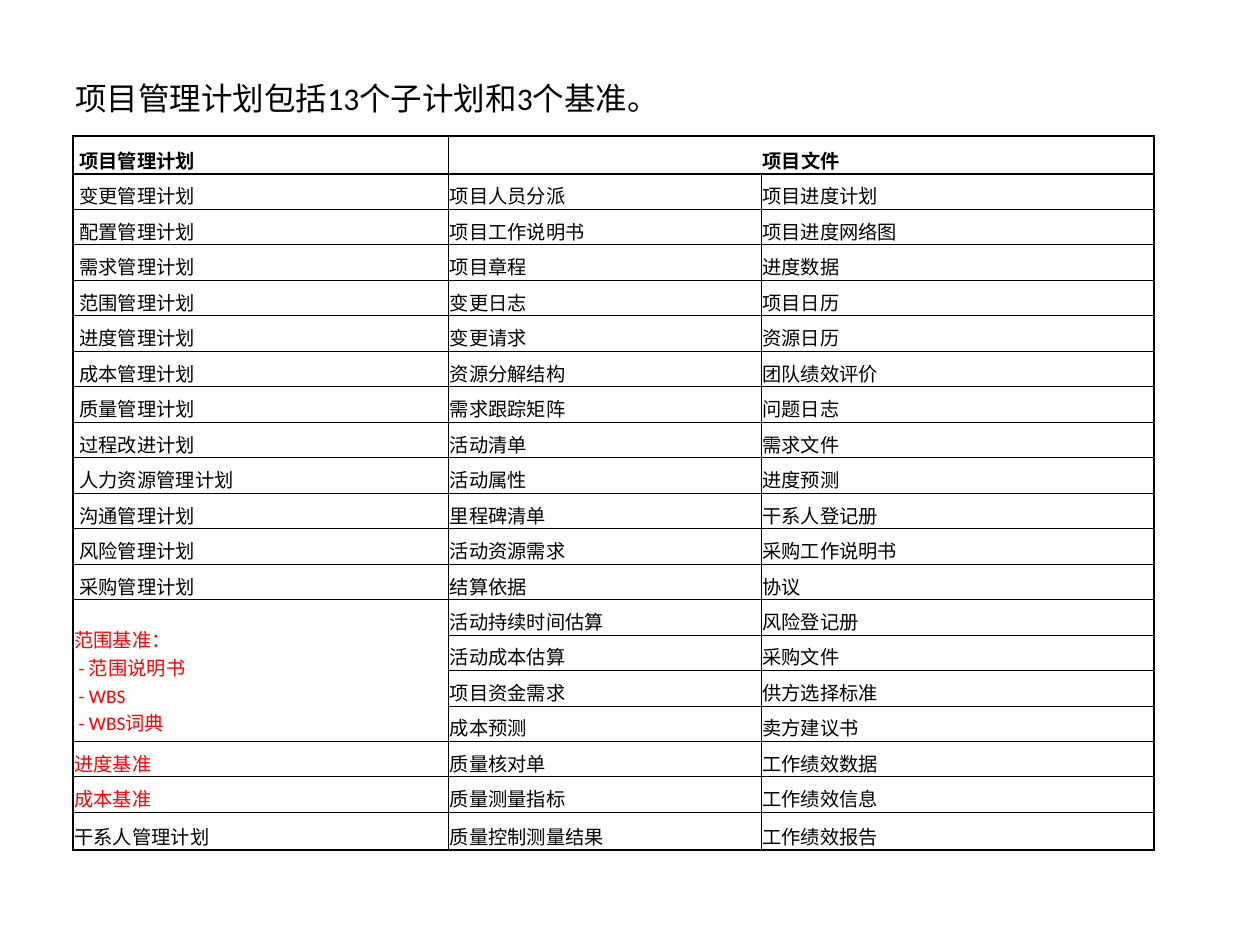
"""Build a slide listing project management plans beside project documents."""
import dataclasses

import lxml.etree
import pptx
import pptx.dml.color
import pptx.enum.text
import pptx.oxml.ns
import pptx.util

Inches = pptx.util.Inches
Pt = pptx.util.Pt
RGB = pptx.dml.color.RGBColor
Anchor = pptx.enum.text.MSO_ANCHOR
Align = pptx.enum.text.PP_ALIGN

HEADER = ("项目管理计划", "项目文件", "")
SCOPE_BASELINE = "范围基准：\v - 范围说明书\v - WBS\v - WBS词典"
BASELINES = (SCOPE_BASELINE, "进度基准", "成本基准")
STAKEHOLDER_PLAN = "干系人管理计划"
SCOPE_ROW, SCOPE_SPAN = 13, 4
ROWS = [
    ("变更管理计划", "项目人员分派", "项目进度计划"),
    ("配置管理计划", "项目工作说明书", "项目进度网络图"),
    ("需求管理计划", "项目章程", "进度数据"),
    ("范围管理计划", "变更日志", "项目日历"),
    ("进度管理计划", "变更请求", "资源日历"),
    ("成本管理计划", "资源分解结构", "团队绩效评价"),
    ("质量管理计划", "需求跟踪矩阵", "问题日志"),
    ("过程改进计划", "活动清单", "需求文件"),
    ("人力资源管理计划", "活动属性", "进度预测"),
    ("沟通管理计划", "里程碑清单", "干系人登记册"),
    ("风险管理计划", "活动资源需求", "采购工作说明书"),
    ("采购管理计划", "结算依据", "协议"),
    (SCOPE_BASELINE, "活动持续时间估算", "风险登记册"),
    ("", "活动成本估算", "采购文件"),
    ("", "项目资金需求", "供方选择标准"),
    ("", "成本预测", "卖方建议书"),
    ("进度基准", "质量核对单", "工作绩效数据"),
    ("成本基准", "质量测量指标", "工作绩效信息"),
    (STAKEHOLDER_PLAN, "质量控制测量结果", "工作绩效报告"),
]


@dataclasses.dataclass(frozen=True)
class Theme:
    """Colours, type sizes and line widths."""
    font: str = "Calibri"
    ink: str = "000000"
    accent: str = "FF0000"
    title_size: int = 18
    cell_size: int = 11
    outer_line: float = 1
    inner_line: float = 0.5


class SlideBuilder:
    """Adds styled elements to one slide."""

    def __init__(self, slide, theme):
        self.slide = slide
        self.theme = theme

    def style(self, paragraph, size, color, bold=False):
        font = paragraph.font
        font.name, font.size, font.bold = self.theme.font, Pt(size), bold
        font.color.rgb = RGB.from_string(color)

    def title(self, wording, left, top, width, height):
        frame = self.slide.shapes.add_textbox(
            Inches(left), Inches(top), Inches(width), Inches(height)).text_frame
        frame.word_wrap = True
        frame.auto_size = pptx.enum.text.MSO_AUTO_SIZE.SHAPE_TO_FIT_TEXT
        frame.text = wording
        self.style(frame.paragraphs[0], self.theme.title_size, self.theme.ink)

    def border(self, cell, side, points):
        qn = pptx.oxml.ns.qn
        properties = cell._tc.get_or_add_tcPr()
        line = lxml.etree.SubElement(properties, qn(f"a:ln{side}"), w=str(Pt(points)))
        fill = lxml.etree.SubElement(line, qn("a:solidFill"))
        lxml.etree.SubElement(fill, qn("a:srgbClr"), val=self.theme.ink)

    def cell(self, cell, wording, is_header, is_plan):
        cell.margin_left = Inches(0.05 if is_plan else 0.01)
        cell.margin_right = Inches(0.01)
        cell.margin_top = Inches(0.01)
        cell.margin_bottom = 0
        cell.vertical_anchor = Anchor.BOTTOM
        if wording == SCOPE_BASELINE:
            cell.vertical_anchor = Anchor.TOP
            cell.margin_top = Inches(0.2)
        cell.text = wording
        paragraph = cell.text_frame.paragraphs[0]
        color = self.theme.accent if wording in BASELINES else self.theme.ink
        self.style(paragraph, self.theme.cell_size, color, is_header)
        if is_header and not is_plan:
            paragraph.alignment = Align.CENTER

    def table(self, rows, left, top, widths, height, end_row_height):
        table = self.slide.shapes.add_table(
            len(rows), len(widths), Inches(left), Inches(top),
            Inches(sum(widths)), Inches(height)).table
        table.first_row = table.horz_banding = False
        for column, width in zip(table.columns, widths):
            column.width = Inches(width)
        last = len(rows) - 1
        body_height = (height - 2 * end_row_height) / (len(rows) - 2)
        for r, row in enumerate(table.rows):
            row.height = Inches(end_row_height if r in (0, last) else body_height)
        table.cell(0, 1).merge(table.cell(0, 2))
        table.cell(SCOPE_ROW, 0).merge(table.cell(SCOPE_ROW + SCOPE_SPAN - 1, 0))

        for r, wordings in enumerate(rows):
            for c, wording in enumerate(wordings):
                cell = table.cell(r, c)
                heavy_sides = {
                    "L": c == 0,
                    "R": c + cell.span_width == len(widths),
                    "T": r in (0, 1),
                    "B": r in (0, last),
                }
                for side, heavy in heavy_sides.items():
                    self.border(cell, side, self.theme.outer_line if heavy
                                else self.theme.inner_line)
                cell.fill.background()
                if not cell.is_spanned:
                    is_plan = c == 0 and wording not in (*BASELINES, STAKEHOLDER_PLAN)
                    self.cell(cell, wording, r == 0, is_plan)


def main():
    presentation = pptx.Presentation()
    presentation.slide_width = Inches(10)
    presentation.slide_height = Inches(7.5)
    slide = presentation.slides.add_slide(presentation.slide_layouts[6])
    builder = SlideBuilder(slide, Theme())
    builder.table([HEADER, *ROWS], 0.58, 1.08, (2.98, 2.48, 3.12), 5.67, 0.3)
    builder.title("项目管理计划包括13个子计划和3个基准。", 0.5, 0.58, 8.67, 0.4)
    presentation.save("out.pptx")


if __name__ == "__main__":
    main()
